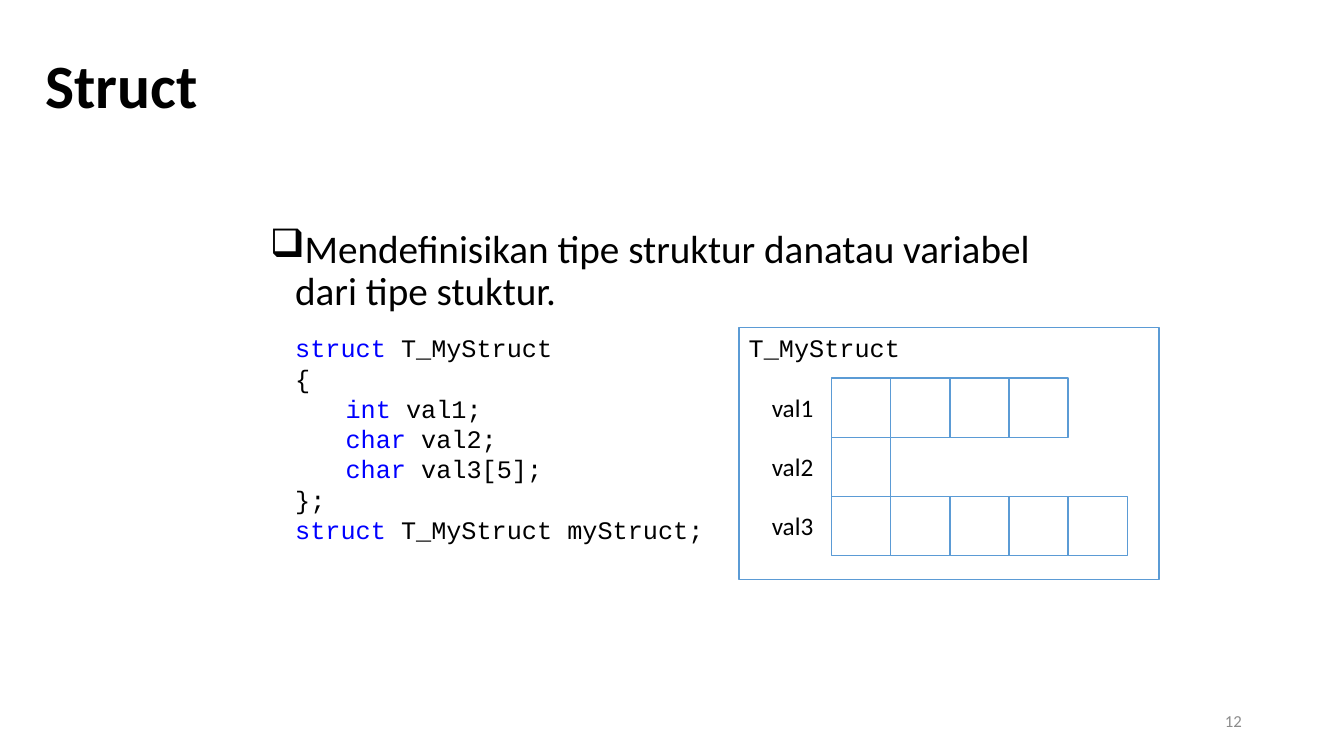
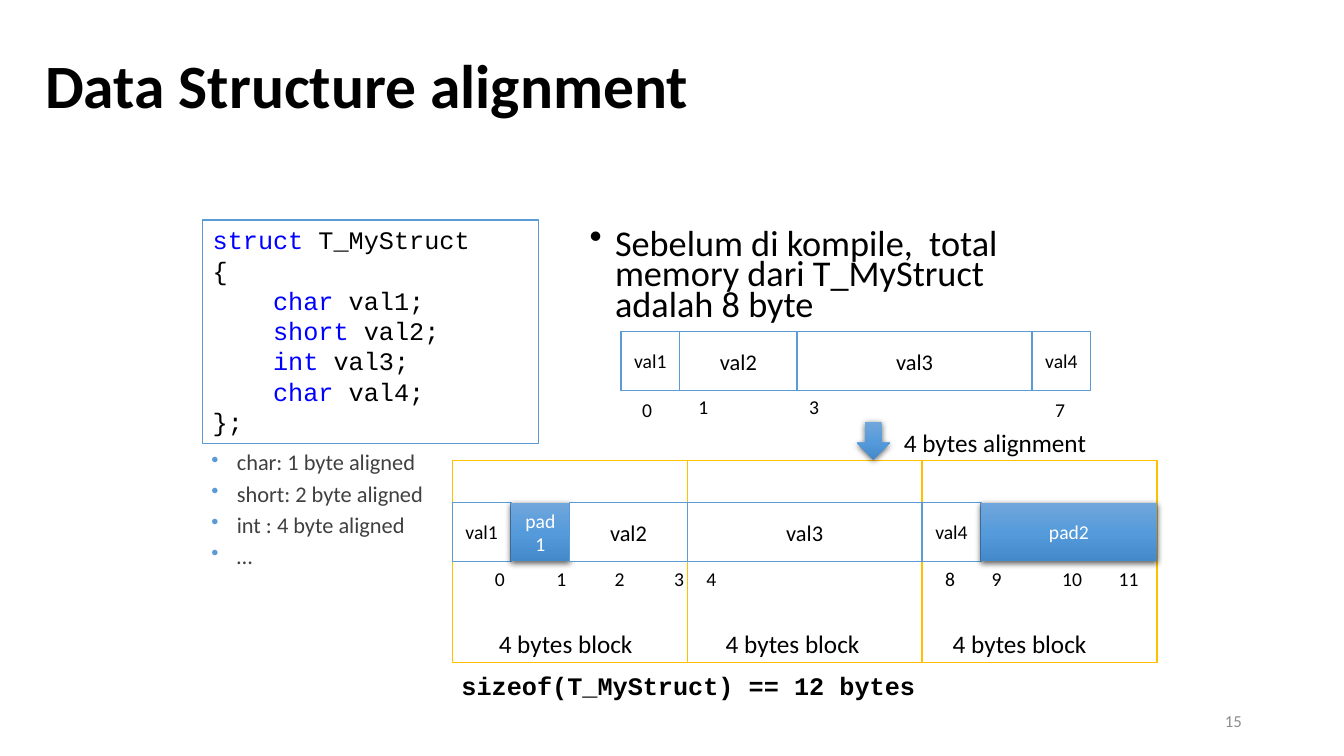
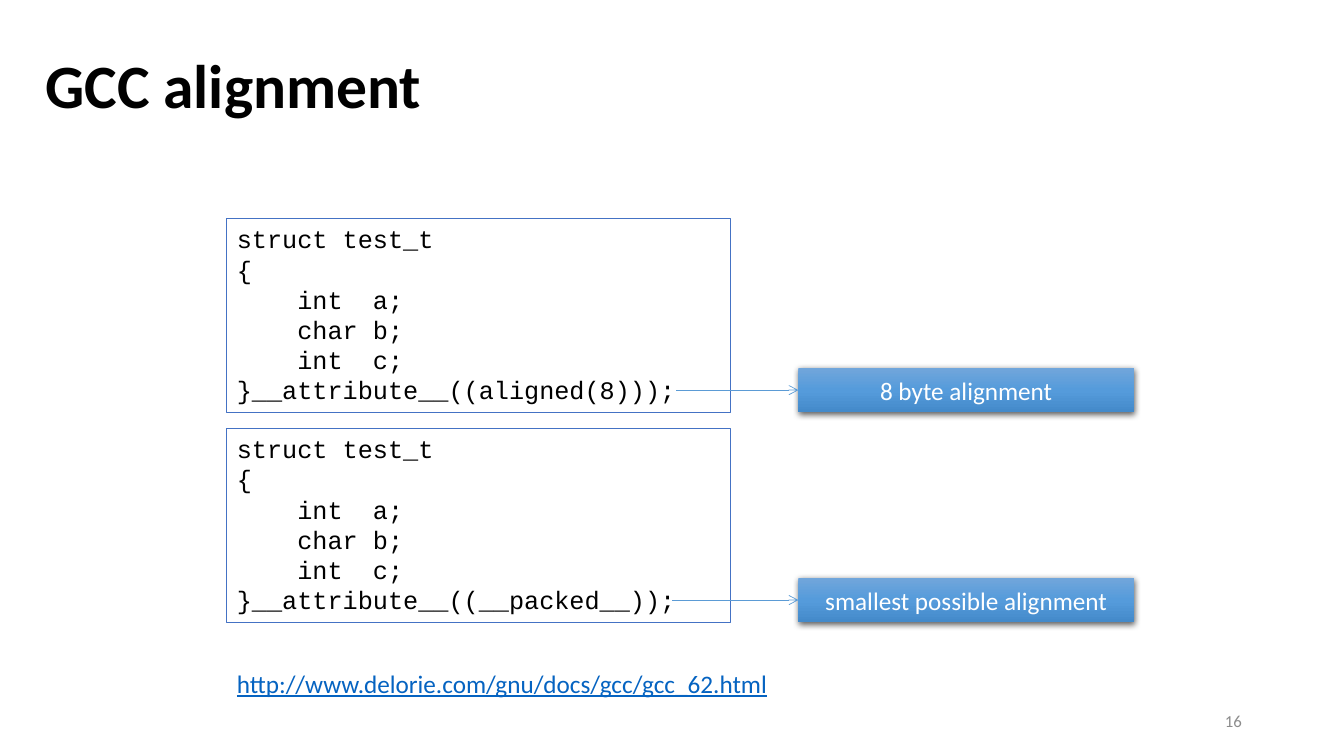
from itertools import accumulate

from pptx import Presentation
from pptx.dml.color import RGBColor
from pptx.enum.shapes import MSO_CONNECTOR, MSO_SHAPE
from pptx.enum.text import MSO_ANCHOR, PP_ALIGN
from pptx.oxml import parse_xml
from pptx.oxml.ns import nsdecls
from pptx.util import Cm, Pt

BLACK, WHITE, BLUE, GOLD = "000000", "FFFFFF", "5B9BD5", "FFC000"
NAVY, LINK, GREY, DARK, KEY = "4472C4", "0563C1", "8C8C8C", "404040", "0000FF"
SANS, MONO = "Calibri", "Courier New"
WORDS = {"struct", "int", "char", "short"}
STOPS = [(0, "71A6DB"), (50, "559BDB"), (100, "448ACA")]
UNIT = 1.48
MID = {"vertical_anchor": MSO_ANCHOR.MIDDLE}
CENTER = {"alignment": PP_ALIGN.CENTER}


def rgb(code):
    """Turn a hex string into a colour."""
    return RGBColor.from_string(code)


def apply(target, values):
    """Set each named attribute of the target."""
    for name, value in values.items():
        setattr(target, name, value)


def node(tag, attrs="", body=""):
    """Build one drawing element."""
    return parse_xml(f'<a:{tag} {nsdecls("a")} {attrs}>{body}</a:{tag}>')


def bullet(para, char, tint=None):
    """Give a paragraph a hanging bullet."""
    props = para._p.get_or_add_pPr()
    apply_to = {"marL": Cm(0.64), "indent": Cm(-0.64)}
    for name, value in apply_to.items():
        props.set(name, str(value))
    if tint:
        props.append(node("buClr", body=f'<a:srgbClr val="{tint}"/>'))
        props.append(node("buSzPct", 'val="95000"'))
    props.append(node("buChar", f'char="{char}"'))


def write(shape, lines, size, color=BLACK, face=SANS, frame=None, para=None,
          mark=None, gap=0, **extra):
    """Fill a shape with lines, each a string or a list of coloured runs."""
    box = shape.text_frame
    apply(box, {"word_wrap": True, "vertical_anchor": MSO_ANCHOR.TOP, **(frame or {})})
    for spot, line in enumerate(lines):
        item = box.add_paragraph() if spot else box.paragraphs[0]
        if mark:
            bullet(item, *mark)
        apply(item, {"alignment": PP_ALIGN.LEFT, **(para or {})})
        if spot and gap:
            item.space_before = Pt(gap)
        for text, tint in [(line, color)] if isinstance(line, str) else line:
            run = item.add_run()
            run.text = text
            apply(run.font, {"name": face, "size": Pt(size), **extra})
            run.font.color.rgb = rgb(tint)


def label(slide, at, text, size=18, **style):
    """Add a text box; text is one line or a list of lines."""
    lines = [text] if isinstance(text, str) else text
    write(slide.shapes.add_textbox(*map(Cm, at)), lines, size, **style)


def block(slide, at, fill=None, line=BLUE, width=1):
    """Add an outlined rectangle."""
    shape = slide.shapes.add_shape(MSO_SHAPE.RECTANGLE, *map(Cm, at))
    shape.shadow.inherit = False
    if fill:
        shape.fill.solid()
        shape.fill.fore_color.rgb = rgb(fill)
    else:
        shape.fill.background()
    shape.line.color.rgb = rgb(line)
    shape.line.width = Pt(width)
    return shape


def glossy(slide, at, kind=MSO_SHAPE.RECTANGLE):
    """Add a blue gradient shape with a soft shadow."""
    shape = slide.shapes.add_shape(kind, *map(Cm, at))
    stops = "".join(f'<a:gs pos="{pos * 1000}"><a:srgbClr val="{code}"/></a:gs>'
                    for pos, code in STOPS)
    props = shape._element.spPr
    props.append(node("gradFill", 'rotWithShape="1"',
                      f'<a:gsLst>{stops}</a:gsLst><a:lin ang="5400000" scaled="0"/>'))
    shape.line.fill.background()
    props.append(node("effectLst", body=(
        f'<a:outerShdw blurRad="{Pt(4.5)}" dist="{Pt(1.5)}" dir="5400000" algn="ctr" '
        'rotWithShape="0"><a:srgbClr val="000000"><a:alpha val="63000"/></a:srgbClr>'
        '</a:outerShdw>')))
    return shape


def arrow(slide, left, right, top):
    """Draw a level arrow pointing right."""
    line = slide.shapes.add_connector(
        MSO_CONNECTOR.STRAIGHT, *map(Cm, (left, top, right, top)))
    line.line.color.rgb = rgb(BLUE)
    line.line.width = Pt(0.5)
    line.line._get_or_add_ln().append(node("tailEnd", 'type="arrow"'))
    line._element.spPr.append(node("effectLst"))


def tint(text):
    """Split code into lines whose first keyword is coloured."""
    lines = []
    for line in text.split("\n"):
        word = line.split()[0]
        lead, _, rest = line.partition(word)
        runs = [(lead, BLACK), (word, KEY if word in WORDS else BLACK), (rest, BLACK)]
        lines.append([run for run in runs if run[0]])
    return lines


def strip(slide, left, top, cells):
    """Draw a row of memory cells, each as wide as its bytes."""
    ends = accumulate((size for _, size in cells), initial=0)
    for (name, size), start in zip(cells, ends):
        at = left + start * UNIT, top, size * UNIT, UNIT
        pad = name.startswith("pad")
        shape = glossy(slide, at) if pad else block(slide, at, WHITE)
        write(shape, [name], 14 if pad or size == 1 else 16, WHITE if pad else BLACK,
              frame=MID, para=CENTER)


def marks(slide, spots):
    """Write byte offsets at their places."""
    for text, left, top in spots:
        label(slide, (left, top, 1.1, 0.86), text, 14)


def begin(deck, title, page):
    """Add a slide with its title and page number."""
    slide = deck.slides.add_slide(deck.slide_layouts[6])
    label(slide, (0.89, 0.38, 27.89, 3.68), title, 44, frame=MID,
          para={"line_spacing": 0.9}, bold=True)
    label(slide, (23.93, 17.65, 7.62, 1.02), page, 12, color=GREY, frame=MID,
          para={"alignment": PP_ALIGN.RIGHT})
    return slide


def struct(deck):
    """Build the slide on defining a struct."""
    slide = begin(deck, "Struct", "12")
    block(slide, (18.62, 8.26, 10.59, 6.35))
    label(slide, (6.55, 5.66, 20.75, 2.59),
          "Mendefinisikan tipe struktur danatau variabel dari tipe stuktur.", 28,
          mark=("❑",), para={"line_spacing": 0.9})
    code = ("struct T_MyStruct\n{\n\tint val1;\n\tchar val2;\n\tchar val3[5];\n};\n"
            "struct T_MyStruct myStruct;")
    label(slide, (7.19, 8.26, 11, 5.64), tint(code), face=MONO)
    for row, (name, count) in enumerate([("val1", 4), ("val2", 1), ("val3", 5)]):
        top = 9.53 + row * 1.49
        label(slide, (19.2, top + 0.23, 1.7, 1.02), name)
        for col in range(count):
            block(slide, (20.96 + col * 1.49, top, 1.49, 1.49), WHITE)
    label(slide, (18.62, 8.26, 4.6, 1.02), "T_MyStruct", face=MONO)


def align(deck):
    """Build the slide on data alignment."""
    slide = begin(deck, "Data Structure alignment", "15")
    label(slide, (14.61, 5.72, 12.7, 2.82),
          "Sebelum di kompile,  total memory dari T_MyStruct adalah 8 byte", 25.9,
          mark=("•",), para={"line_spacing": 0.7})
    code = ("struct T_MyStruct\n{\n    char val1;\n    short val2;\n    int val3;\n"
            "    char val4;\n};")
    write(block(slide, (5.11, 5.54, 8.46, 5.64)), tint(code), 18, face=MONO)
    rules = ["char: 1 byte aligned", "short: 2 byte aligned", "int : 4 byte aligned", "…"]
    label(slide, (5.08, 11.18, 6.35, 3.38), rules, 16, color=DARK,
          mark=("•", BLUE), gap=3)

    strip(slide, 15.65, 8.36, [("val1", 1), ("val2", 2), ("val3", 4), ("val4", 1)])
    marks(slide, [("0", 15.93, 9.91), ("1", 17.35, 9.83),
                  ("3", 20.14, 9.83), ("7", 26.34, 9.91)])

    for col in reversed(range(3)):
        block(slide, (11.4 + col * 4 * UNIT, 11.61, 4 * UNIT, 5.08), line=GOLD)
        label(slide, (12.32 + col * 5.72, 15.7, 4.2, 1.02), "4 bytes block")
    strip(slide, 11.4, 12.67, [("val1", 1), ("pad1", 1), ("val2", 2),
                               ("val3", 4), ("val4", 1), ("pad2", 3)])
    lefts = {"0": 12.22, "1": 13.77, "2": 15.24, "3": 16.74, "4": 17.55,
             "8": 23.57, "9": 24.74, "10": 26.52, "11": 27.94}
    marks(slide, [(text, left, 14.15) for text, left in lefts.items()])

    glossy(slide, (21.59, 10.64, 0.84, 0.94), MSO_SHAPE.DOWN_ARROW)
    label(slide, (22.53, 10.64, 5.44, 1.02), "4 bytes alignment")
    label(slide, (11.38, 16.76, 12, 1.02), "sizeof(T_MyStruct) == 12 bytes",
          face=MONO, bold=True)


def compile_hint(deck):
    """Build the slide on compiler attributes."""
    slide = begin(deck, "GCC alignment", "16")
    cases = [("aligned(8)", "8 byte alignment", 17.04),
             ("__packed__", "smallest possible alignment", 16.94)]
    for row, (name, note, start) in enumerate(cases):
        top = 5.51 + row * 5.29
        code = ["struct test_t", "{", "    int  a;", "    char b;", "    int  c;",
                f"}}__attribute__(({name}));"]
        write(block(slide, (5.72, top, 12.7, 4.88), line=NAVY, width=0.75),
              code, 18, face=MONO)
        write(glossy(slide, (20.12, top + 3.76, 8.46, 1.12)), [note], 18, WHITE,
              frame=MID, para=CENTER)
        arrow(slide, start, 20.12, top + 4.32)
    label(slide, (5.72, 16.71, 18.42, 1.02),
          "http://www.delorie.com/gnu/docs/gcc/gcc_62.html", color=LINK, underline=True)


def main():
    """Build the deck and save it."""
    deck = Presentation()
    apply(deck, {"slide_width": Cm(33.87), "slide_height": Cm(19.05)})
    for build in (struct, align, compile_hint):
        build(deck)
    deck.save("out.pptx")


if __name__ == "__main__":
    main()
